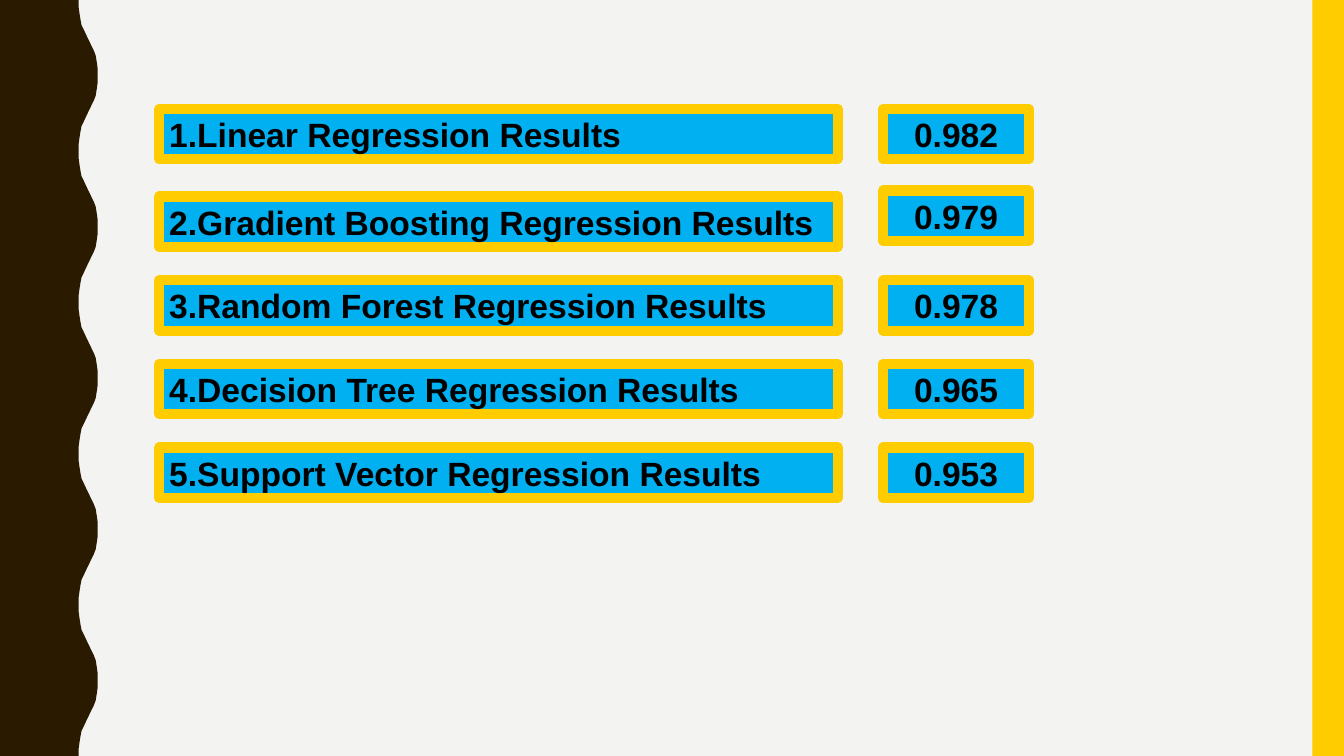
from pptx import Presentation
from pptx.dml.color import RGBColor
from pptx.enum.shapes import MSO_SHAPE
from pptx.enum.text import MSO_ANCHOR, MSO_AUTO_SIZE, PP_ALIGN
from pptx.util import Pt

ROWS = [
    ("1.Linear Regression Results", 77.8, "0.982", 77.8),
    ("2.Gradient Boosting Regression Results", 140.4, "0.979", 136.1),
    ("3.Random Forest Regression Results", 200.2, "0.978", 200.2),
    ("4.Decision Tree Regression Results", 259.9, "0.965", 259.9),
    ("5.Support Vector Regression Results", 319.7, "0.953", 319.7),
]
CREST = [
    (56.2, 0), (56.2, 5), (56.9, 10), (57.6, 14.4), (58.3, 18),
    (59.8, 21), (61.2, 24), (62.6, 27), (64.1, 30), (65.5, 33),
    (67, 36), (68.4, 39.6), (69.1, 44), (69.8, 49), (69.8, 54),
]
WIDE, HIGH = 960, 540
WAVE, COUNT = 108, 5
NAME_X, NAME_W = 113.8, 484.6
SCORE_X, SCORE_W = 630.7, 104.4
BOX_H = 36
BAR_X = 937.5

PAPER = RGBColor(0xF3, 0xF3, 0xF2)
BROWN = RGBColor(0x2A, 0x1A, 0x00)
GOLD = RGBColor(0xFF, 0xCC, 0x00)
BLUE = RGBColor(0x00, 0xB0, 0xF0)
BLACK = RGBColor(0x00, 0x00, 0x00)


def paint(shape, color):
    shape.shadow.inherit = False
    shape.fill.solid()
    shape.fill.fore_color.rgb = color
    shape.line.fill.background()


def add_rect(slide, left, top, width, height, color):
    rect = slide.shapes.add_shape(
        MSO_SHAPE.RECTANGLE, Pt(left), Pt(top), Pt(width), Pt(height))
    paint(rect, color)
    return rect


def add_wave(slide):
    cycle = CREST + [(x, WAVE - y) for x, y in CREST[-2::-1]]
    edge = [(x, y + WAVE * n) for n in range(COUNT) for x, y in cycle]
    points = [(Pt(x), Pt(y)) for x, y in edge + [(0, HIGH)]]
    pen = slide.shapes.build_freeform(0, 0, scale=1.0)
    pen.add_line_segments(points, close=True)
    paint(pen.convert_to_shape(), BROWN)


def add_box(slide, text, left, top, width, align):
    box = add_rect(slide, left, top, width, BOX_H, BLUE)
    box.line.color.rgb = GOLD
    box.line.width = Pt(7.25)
    frame = box.text_frame
    frame.word_wrap = True
    frame.auto_size = MSO_AUTO_SIZE.SHAPE_TO_FIT_TEXT
    frame.vertical_anchor = MSO_ANCHOR.MIDDLE
    para = frame.paragraphs[0]
    para.alignment = align
    run = para.add_run()
    run.text = text
    run.font.name = "Arial"
    run.font.size = Pt(24)
    run.font.bold = True
    run.font.color.rgb = BLACK


def main():
    deck = Presentation()
    deck.slide_width, deck.slide_height = Pt(WIDE), Pt(HIGH)
    slide = deck.slides.add_slide(deck.slide_layouts[6])
    slide.background.fill.solid()
    slide.background.fill.fore_color.rgb = PAPER
    add_wave(slide)
    add_rect(slide, BAR_X, 0, WIDE - BAR_X, HIGH, GOLD)
    for name, name_y, score, score_y in ROWS:
        add_box(slide, name, NAME_X, name_y, NAME_W, PP_ALIGN.LEFT)
        add_box(slide, score, SCORE_X, score_y, SCORE_W, PP_ALIGN.CENTER)
    deck.save("out.pptx")


if __name__ == "__main__":
    main()
